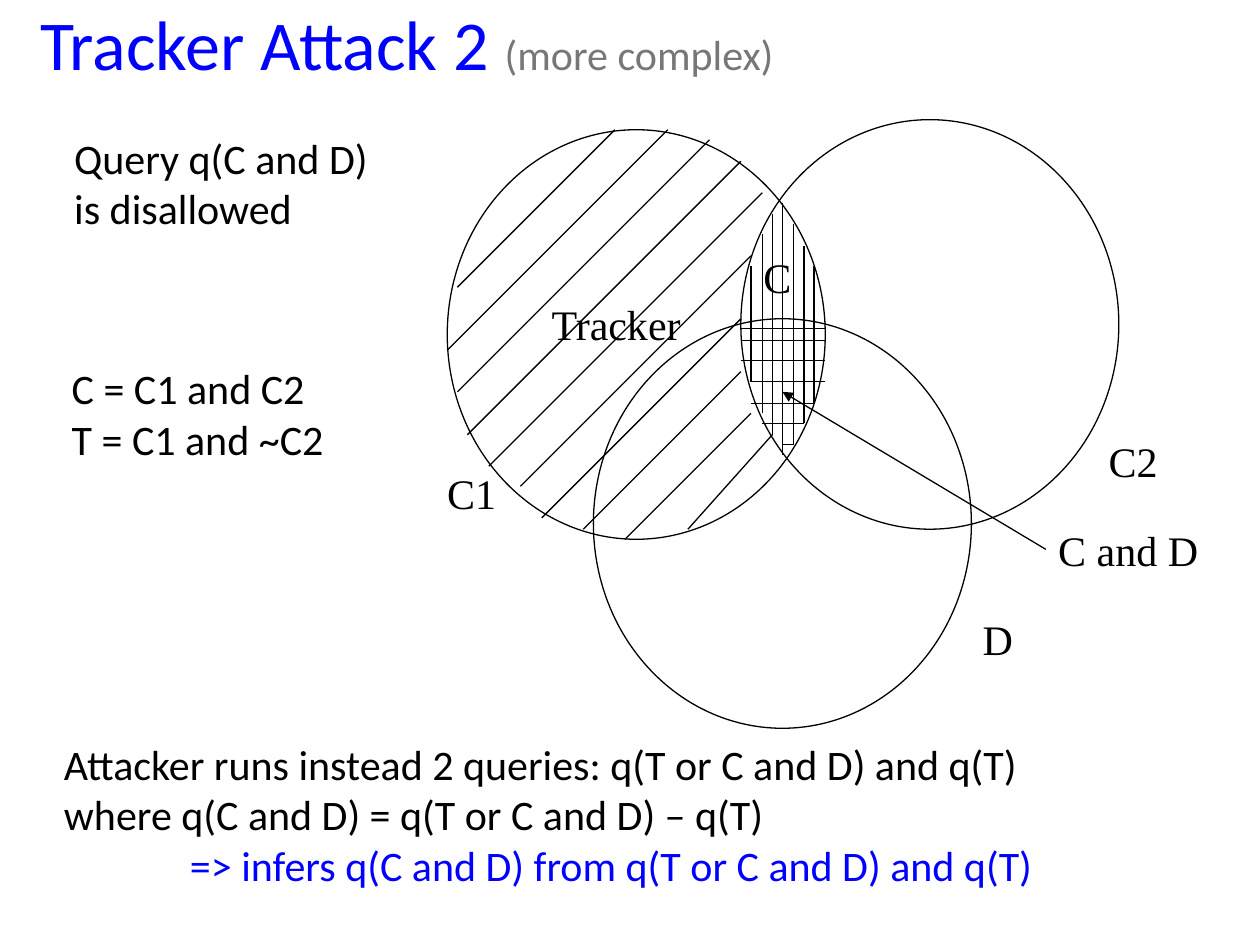
from typing import NamedTuple

from lxml import etree
from pptx import Presentation
from pptx.dml.color import RGBColor
from pptx.enum.shapes import MSO_CONNECTOR, MSO_SHAPE
from pptx.enum.text import MSO_ANCHOR
from pptx.oxml.ns import qn
from pptx.util import Inches, Pt

OVAL = MSO_SHAPE.OVAL
LINE = MSO_CONNECTOR.STRAIGHT
BOTTOM = MSO_ANCHOR.BOTTOM
BLACK, BLUE, GRAY = "000000", "0000FF", "777777"
SANS, SERIF = "Calibri", "Times New Roman"


class Circle(NamedTuple):
    left: float
    top: float


class Stroke(NamedTuple):
    x1: float
    y1: float
    x2: float
    y2: float


class Note(NamedTuple):
    text: str
    left: float
    top: float
    width: float
    height: float = 0.5
    font: str = SERIF
    wrap: bool = False


CIRCLES = [Circle(3.55, 1.03), Circle(5.88, 0.95), Circle(4.71, 2.53)]

SLANTS = [
    Stroke(4.88, 1.03, 3.63, 2.28),
    Stroke(5.3, 1.03, 3.55, 2.78),
    Stroke(5.63, 1.11, 3.63, 3.11),
    Stroke(5.88, 1.28, 3.71, 3.45),
    Stroke(6.05, 1.53, 3.88, 3.7),
    Stroke(5.96, 2.03, 4.13, 3.86),
    Stroke(5.88, 2.53, 4.3, 4.11),
    Stroke(5.88, 2.95, 4.63, 4.2),
    Stroke(5.96, 3.28, 4.96, 4.28),
    Stroke(6.13, 3.45, 5.46, 4.2),
]
UPRIGHTS = [
    (5.96, 2.11, 3.03), (6.05, 1.86, 3.28), (6.13, 1.7, 3.45),
    (6.21, 1.61, 3.61), (6.3, 1.78, 3.53), (6.38, 1.95, 3.36),
    (6.46, 2.11, 3.2),
]
LEVELS = [
    (2.61, 5.88, 6.55), (2.7, 5.88, 6.55), (2.86, 5.88, 6.55),
    (3.03, 5.96, 6.55), (3.2, 5.96, 6.46), (3.36, 6.05, 6.38),
    (3.53, 6.21, 6.3),
]
HATCH = (
    SLANTS
    + [Stroke(x, top, x, end) for x, top, end in UPRIGHTS]
    + [Stroke(left, y, end, y) for y, left, end in LEVELS]
)
POINTER = Stroke(8.3, 4.36, 6.21, 3.11)

NOTES = [
    Note("C = C1 and C2\nT = C1 and ~C2", 0.47, 2.83, 2.61, 0.9, SANS),
    Note("Query q(C and D)\nis disallowed", 0.49, 1, 3.51, 0.9, SANS, True),
    Note("Tracker", 4.28, 2.32, 1.24),
    Note("C", 5.96, 1.95, 0.42),
    Note("C1", 3.45, 3.66, 0.59),
    Note("C2", 8.7, 3.41, 0.59),
    Note("D", 7.7, 4.82, 0.44),
    Note("C and D", 8.3, 4.11, 1.31),
]
ATTACK = Note(
    "Attacker runs instead 2 queries: q(T or C and D) and q(T)\n"
    "where q(C and D) = q(T or C and D) – q(T)\n"
    "=> infers q(C and D) from q(T or C and D) and q(T)",
    0.41, 5.81, 9.26, 1.3, SANS, True,
)


def color(code: str) -> RGBColor:
    return RGBColor.from_string(code)


def style(font, name: str, size: float, code: str) -> None:
    font.name = name
    font.size = Pt(size)
    font.color.rgb = color(code)


def add_circle(slide, circle: Circle) -> None:
    shape = slide.shapes.add_shape(
        OVAL, Inches(circle.left), Inches(circle.top), Inches(3), Inches(3.25)
    )
    shape.shadow.inherit = False
    shape.fill.background()
    shape.line.color.rgb = color(BLACK)
    shape.line.width = Pt(0.75)


def add_stroke(slide, stroke: Stroke, arrow: bool = False) -> None:
    line = slide.shapes.add_connector(LINE, *(Inches(v) for v in stroke))
    line.line.color.rgb = color(BLACK)
    line.line.width = Pt(0.75)
    props = line._element.spPr
    if arrow:
        etree.SubElement(props.find(qn("a:ln")), qn("a:tailEnd"), type="triangle")
    etree.SubElement(props, qn("a:effectLst"))


def add_note(slide, note: Note):
    box = slide.shapes.add_textbox(
        Inches(note.left), Inches(note.top), Inches(note.width), Inches(note.height)
    )
    frame = box.text_frame
    frame.word_wrap = note.wrap
    frame.text = note.text
    for para in frame.paragraphs:
        style(para.font, note.font, 24, BLACK)
    return frame


def add_title(slide) -> None:
    box = slide.shapes.add_textbox(0, 0, Inches(10), Inches(0.72))
    frame = box.text_frame
    frame.word_wrap = True
    frame.vertical_anchor = BOTTOM
    frame.margin_left = Inches(0.32)
    para = frame.paragraphs[0]
    for text, size, code in [
        ("Tracker Attack 2 ", 40, BLUE),
        ("(more complex)", 24, GRAY),
    ]:
        run = para.add_run()
        run.text = text
        style(run.font, SANS, size, code)


def main() -> None:
    deck = Presentation()
    deck.slide_width = Inches(10)
    deck.slide_height = Inches(7.5)
    slide = deck.slides.add_slide(deck.slide_layouts[6])

    add_title(slide)
    for circle in CIRCLES:
        add_circle(slide, circle)
    for stroke in HATCH:
        add_stroke(slide, stroke)
    add_stroke(slide, POINTER, arrow=True)
    for note in NOTES:
        add_note(slide, note)

    last = add_note(slide, ATTACK).paragraphs[-1]
    last.font.color.rgb = color(BLUE)
    last._p.get_or_add_pPr().set("marL", str(Inches(1)))

    deck.save("out.pptx")


if __name__ == "__main__":
    main()
